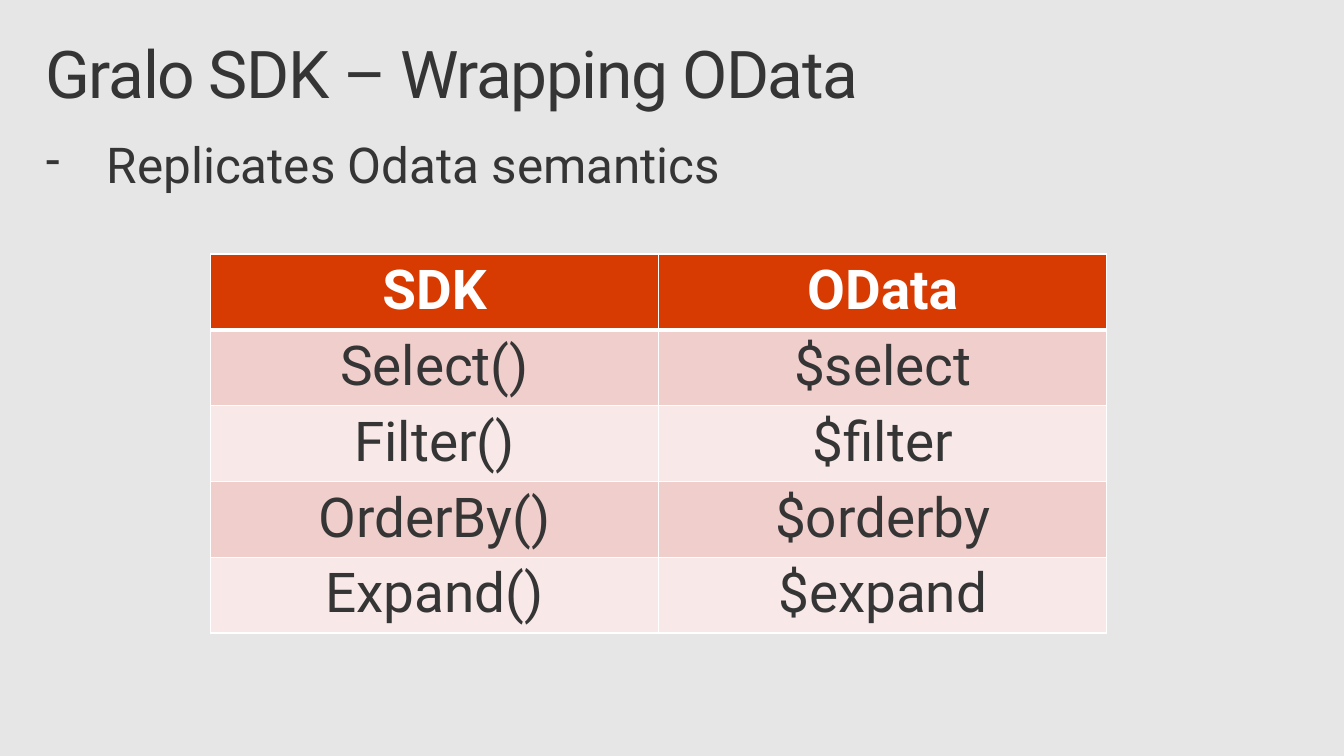
from lxml import etree
from pptx import Presentation
from pptx.dml.color import RGBColor
from pptx.enum.text import MSO_ANCHOR, PP_ALIGN
from pptx.oxml.ns import qn
from pptx.util import Inches, Pt

TOP, CENTER, LEFT = MSO_ANCHOR.TOP, PP_ALIGN.CENTER, PP_ALIGN.LEFT
COLORS = {"background": "E6E6E6", "text": "353535", "header": "D83B01",
          "white": "FFFFFF", "odd": "F0CECC", "even": "F8E8E7"}
ROWS = [("SDK", "OData"), ("Select()", "$select"), ("Filter()", "$filter"),
        ("OrderBy()", "$orderby"), ("Expand()", "$expand")]
FRAME = {"margin_left": Inches(0.16), "margin_right": Inches(0.16),
         "margin_top": Inches(0.1), "margin_bottom": Inches(0.1),
         "word_wrap": True, "vertical_anchor": TOP}


def rgb(name):
    return RGBColor.from_string(COLORS[name])


def add_run(p, text, size, color="text", bold=False):
    r = p.add_run()
    r.text = text
    for key, value in {"name": "Roboto", "size": Pt(size), "bold": bold}.items():
        setattr(r.font, key, value)
    r.font.color.rgb = rgb(color)
    return r


prs = Presentation()
prs.slide_width, prs.slide_height = Inches(13.6), Inches(7.65)
s = prs.slides.add_slide(prs.slide_layouts[5])
s.background.fill.solid()
s.background.fill.fore_color.rgb = rgb("background")

# Title and bullet
title = s.shapes.title
title.left, title.top = Inches(0.3), Inches(0.32)
title.width, title.height = Inches(13), Inches(1)
body = s.shapes.add_textbox(Inches(0.3), Inches(1.33), Inches(13), Inches(1))
for sp in (title, body):
    for key, value in FRAME.items():
        setattr(sp.text_frame, key, value)
    p = sp.text_frame.paragraphs[0]
    p.alignment, p.line_spacing = LEFT, 0.9

r = add_run(title.text_frame.paragraphs[0], "Gralo SDK – Wrapping OData", 48)
r.font._element.set("spc", "-100")

p = body.text_frame.paragraphs[0]
pPr = p._p.get_or_add_pPr()
pPr.set("marL", str(Inches(0.62)))
pPr.set("indent", str(-Inches(0.62)))
etree.SubElement(pPr, qn("a:buSzPct")).set("val", "90000")
etree.SubElement(pPr, qn("a:buChar")).set("char", "-")
add_run(p, "Replicates Odata semantics", 36)

# Table of SDK methods and their OData parameters
table = s.shapes.add_table(len(ROWS), 2, Inches(2.13), Inches(2.57),
                           Inches(9.07), Inches(0.75 * len(ROWS))).table
for i, row in enumerate(ROWS):
    fill = "header" if i == 0 else "odd" if i % 2 else "even"
    widths = {"a:lnL": 1, "a:lnR": 1, "a:lnT": 3 if i == 1 else 1,
              "a:lnB": 3 if i == 0 else 1}
    for j, text in enumerate(row):
        cell = table.cell(i, j)
        tcPr = cell._tc.get_or_add_tcPr()
        for tag, width in widths.items():
            ln = etree.SubElement(tcPr, qn(tag))
            ln.set("w", str(Pt(width)))
            line_fill = etree.SubElement(ln, qn("a:solidFill"))
            etree.SubElement(line_fill, qn("a:srgbClr")).set("val", COLORS["white"])
        cell.fill.solid()
        cell.fill.fore_color.rgb = rgb(fill)
        p = cell.text_frame.paragraphs[0]
        p.alignment = CENTER
        add_run(p, text, 40, "text" if i else "white", i == 0)

prs.save("out.pptx")
